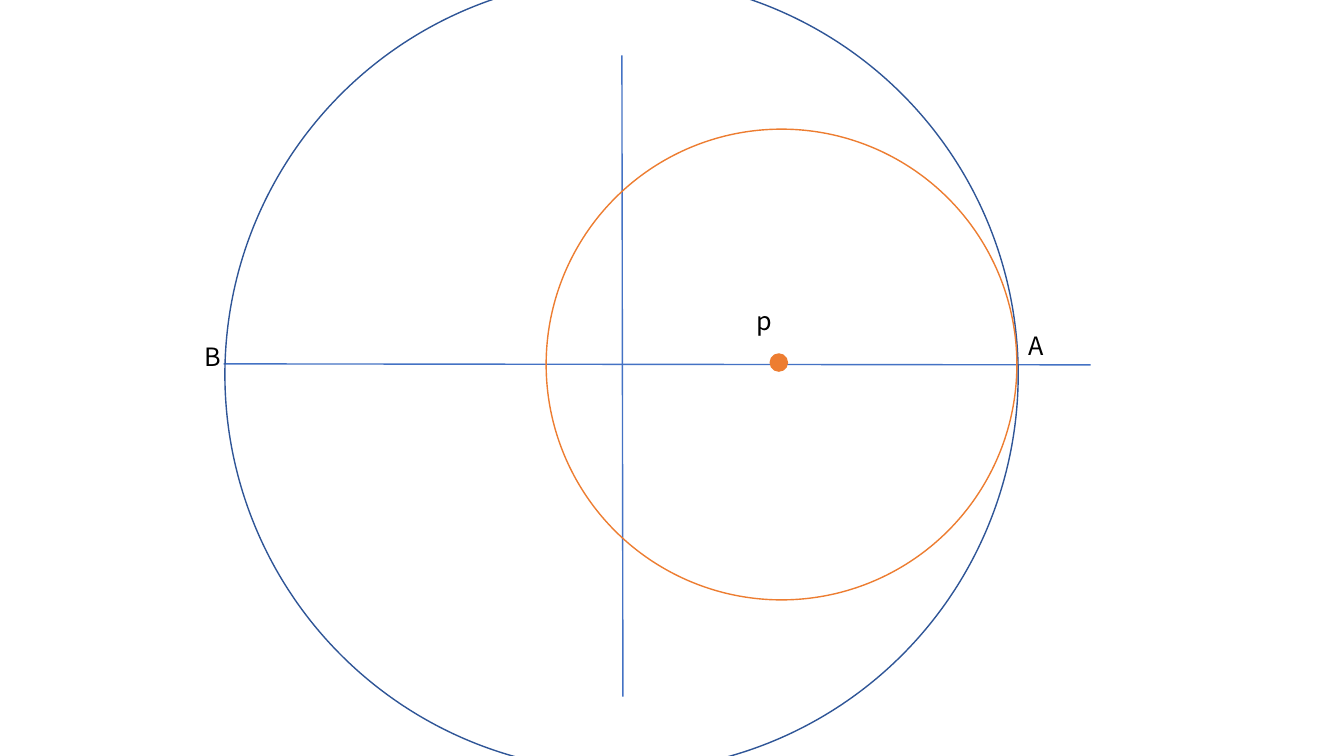
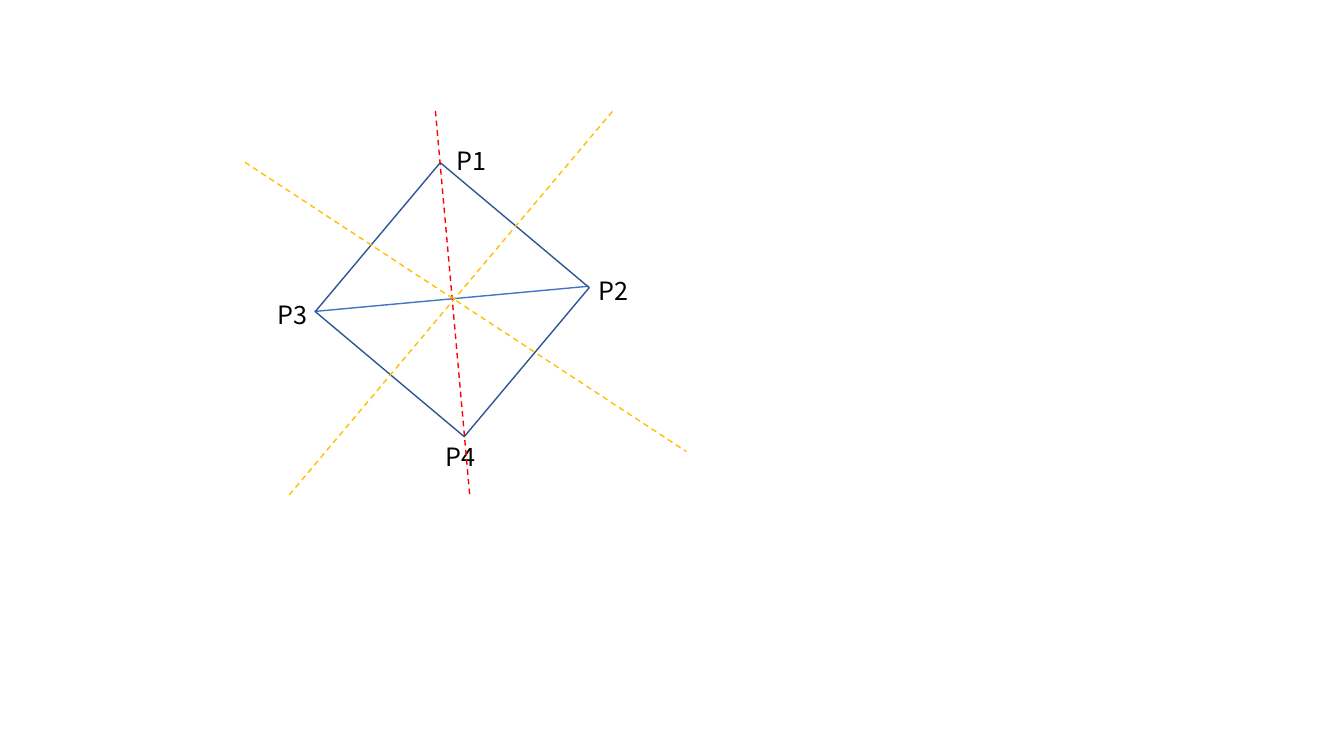
"""Draw two geometry sketches: nested circles on axes and a square with its symmetry lines."""
from lxml import etree
from pptx import Presentation
from pptx.dml.color import RGBColor
from pptx.enum.dml import MSO_LINE
from pptx.enum.shapes import MSO_CONNECTOR, MSO_SHAPE
from pptx.oxml.ns import qn
from pptx.util import Inches, Pt

BLUE = RGBColor(0x44, 0x72, 0xC4)
NAVY = RGBColor(0x2F, 0x55, 0x97)
ORANGE = RGBColor(0xED, 0x7D, 0x31)
RED = RGBColor(0xFF, 0x00, 0x00)
GOLD = RGBColor(0xFF, 0xC0, 0x00)
BLACK = RGBColor(0x00, 0x00, 0x00)
FONT = "Noto Sans CJK SC"
COLUMNS = 40

deck = Presentation()
deck.slide_width = Inches(40 / 3)
deck.slide_height = Inches(7.5)
blank = deck.slide_layouts[6]
circles = deck.slides.add_slide(blank)
square = deck.slides.add_slide(blank)


def grid(*cells):
    """Convert grid cells to slide lengths."""
    return [round(deck.slide_width * cell / COLUMNS) for cell in cells]


def draw_line(slide, ends, color, dash=None):
    """Draw a thin straight line between two grid points."""
    line = slide.shapes.add_connector(MSO_CONNECTOR.STRAIGHT, *grid(*ends))
    line.line.color.rgb = color
    line.line.width = Pt(1)
    line.line.dash_style = dash
    etree.SubElement(line._element.spPr, qn("a:effectLst"))


for slide, ends in (
    (circles, (6.66, 10.83, 32.46, 10.86)),
    (circles, (18.51, 1.65, 18.54, 20.73)),
    (square, (9.36, 9.27, 17.52, 8.52)),
):
    draw_line(slide, ends, BLUE)

for slide, preset, center_x, center_y, size, angle, color in (
    (circles, MSO_SHAPE.FLOWCHART_CONNECTOR, 18.5, 11.15, 23.61, 0, NAVY),
    (circles, MSO_SHAPE.FLOWCHART_OR, 23.18, 10.79, 0.51, 0, ORANGE),
    (circles, MSO_SHAPE.FLOWCHART_CONNECTOR, 23.26, 10.85, 14.01, 0, ORANGE),
    (square, MSO_SHAPE.RECTANGLE, 13.46, 8.92, 5.79, 40, NAVY),
):
    figure = slide.shapes.add_shape(
        preset, *grid(center_x - size / 2, center_y - size / 2, size, size))
    figure.rotation = angle
    figure.shadow.inherit = False
    figure.line.color.rgb = color
    figure.line.width = Pt(1)
    if preset == MSO_SHAPE.FLOWCHART_OR:
        figure.fill.solid()
        figure.fill.fore_color.rgb = color
    else:
        figure.fill.background()

for slide, name, left, top in (
    (circles, "p", 22.23, 8.94),
    (circles, "A", 30.33, 9.69),
    (circles, "B", 5.79, 10.02),
    (square, "P1", 13.29, 4.17),
    (square, "P3", 7.98, 8.76),
    (square, "P2", 17.52, 8.04),
    (square, "P4", 12.96, 12.99),
):
    label = slide.shapes.add_textbox(*grid(left, top, 1.71, 1.2)).text_frame
    label.word_wrap = True
    label.text = name
    font = label.paragraphs[0].runs[0].font
    font.name = FONT
    font.size = Pt(18)
    font.color.rgb = BLACK

for ends, color in (
    ((12.96, 3.3, 13.98, 14.73), RED),
    ((8.61, 14.73, 18.24, 3.3), GOLD),
    ((7.29, 4.83, 20.43, 13.44), GOLD),
):
    draw_line(square, ends, color, MSO_LINE.DASH)

deck.save("out.pptx")
